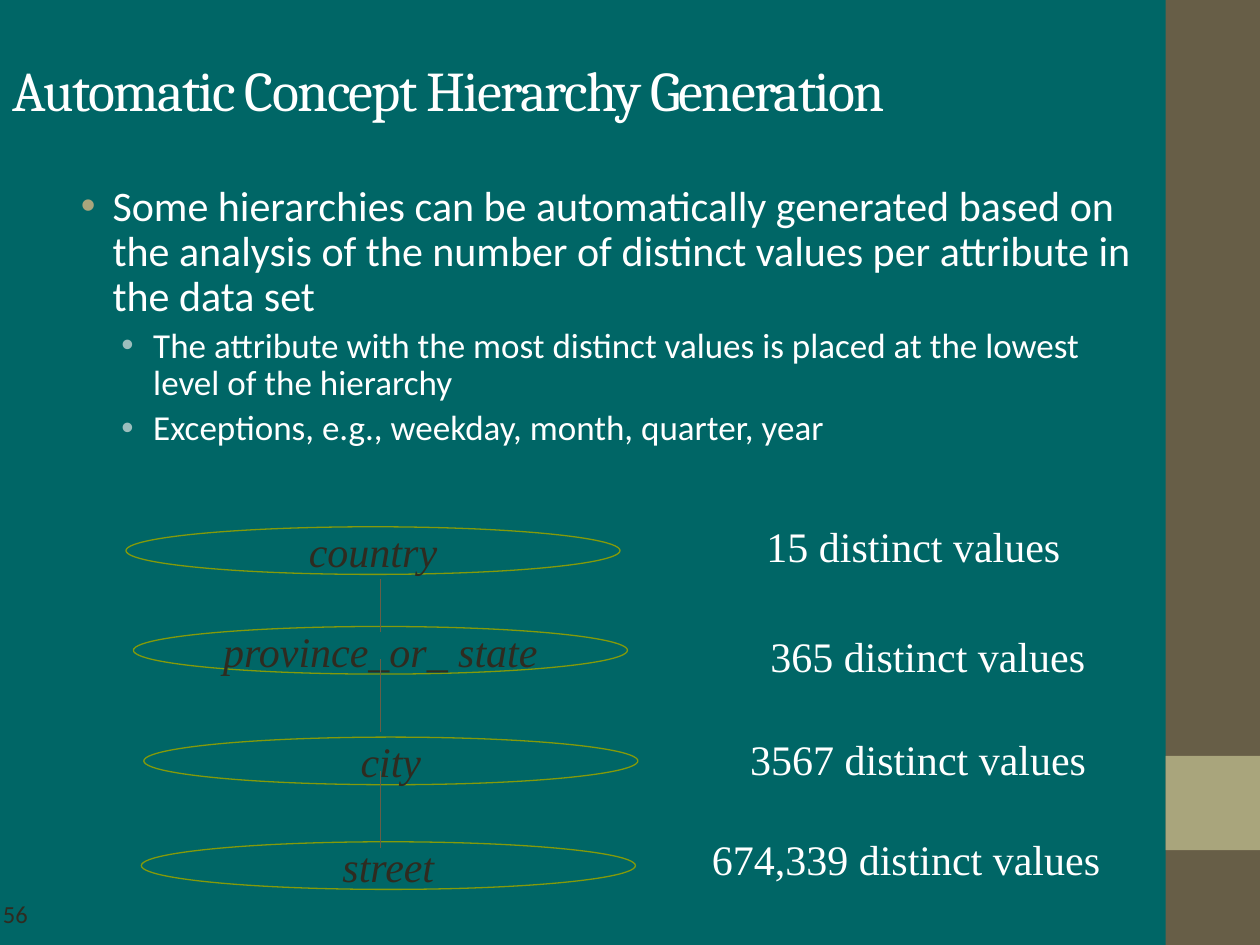
import pptx
import pptx.util
import pptx.dml.color
import pptx.enum.shapes
import pptx.enum.text
from lxml import etree
from pptx.oxml.ns import qn

Cm, Pt = pptx.util.Cm, pptx.util.Pt
Rgb = pptx.dml.color.RGBColor.from_string
Kind = pptx.enum.shapes.MSO_SHAPE
Align = pptx.enum.text.PP_ALIGN
Anchor = pptx.enum.text.MSO_ANCHOR
Fit = pptx.enum.text.MSO_AUTO_SIZE

HUES = {"back": "006666", "side": "675E47", "block": "A9A57C", "white": "FFFFFF",
        "dark": "2F2B20", "ring": "849A0A", "dot": "9CBEBD"}
SERIF = "Times New Roman"


def write(para, text, size=24, font=SERIF, hue="white", italic=False, align=Align.CENTER):
    para.alignment = align
    run = para.add_run()
    run.text = text
    run.font.size = Pt(size)
    run.font.name = font
    run.font.italic = italic
    run.font.color.rgb = Rgb(HUES[hue])
    return run


def bullet(para, left, hue):
    """Give the paragraph a coloured bullet with a hanging indent, in cm."""
    props = para._p.get_or_add_pPr()
    props.set("marL", str(Cm(left)))
    props.set("indent", str(Cm(-0.64)))
    tint = etree.SubElement(props, qn("a:buClr"))
    etree.SubElement(tint, qn("a:srgbClr")).set("val", HUES[hue])
    etree.SubElement(props, qn("a:buFont")).set("typeface", "Arial")
    etree.SubElement(props, qn("a:buChar")).set("char", "•")


deck = pptx.Presentation()
deck.slide_width, deck.slide_height = Cm(25.4), Cm(19.05)
slide = deck.slides.add_slide(deck.slide_layouts[5])
slide.background.fill.solid()
slide.background.fill.fore_color.rgb = Rgb(HUES["back"])
shapes = slide.shapes

# Side band
for top, high, hue in [(0, 19.05, "side"), (15.24, 1.9, "block")]:
    band = shapes.add_shape(Kind.RECTANGLE, Cm(23.5), Cm(top), Cm(1.9), Cm(high))
    band.shadow.inherit = False
    band.fill.solid()
    band.fill.fore_color.rgb = Rgb(HUES[hue])
    band.line.fill.background()

# Title
title = shapes.title
title.left, title.top, title.width, title.height = Cm(0), Cm(0.84), Cm(25.4), Cm(1.9)
frame = title.text_frame
frame.auto_size = Fit.NONE
frame.vertical_anchor = Anchor.MIDDLE
run = write(frame.paragraphs[0], "Automatic Concept Hierarchy Generation",
            size=32, font="Cambria", align=Align.LEFT)
run.font._element.set("spc", "-100")

# Bullets
points = [
    (0, "Some hierarchies can be automatically generated based on the analysis of "
        "the number of distinct values per attribute in the data set"),
    (1, "The attribute with the most distinct values is placed at the lowest level "
        "of the hierarchy"),
    (1, "Exceptions, e.g., weekday, month, quarter, year"),
]
frame = shapes.add_textbox(Cm(1.06), Cm(3.6), Cm(22.44), Cm(6.35)).text_frame
frame.word_wrap = True
for num, (level, text) in enumerate(points):
    para = frame.add_paragraph() if num else frame.paragraphs[0]
    size = (24, 20)[level]
    para.level = level
    para.line_spacing = 0.9
    para.space_before = Pt(0.2 * size)
    bullet(para, (0.96, 1.78)[level], ("block", "dot")[level])
    write(para, text, size=size, font="Calibri", align=Align.LEFT)

# Hierarchy levels: name, left and top of the ring
levels = [
    ("country", 2.54, 10.62),
    ("province_or_ state", 2.69, 12.63),
    ("city", 2.9, 14.86),
    ("street", 2.85, 16.97),
]
for name, left, top in levels:
    ring = shapes.add_shape(Kind.OVAL, Cm(left), Cm(top), Cm(9.96), Cm(0.96))
    ring.shadow.inherit = False
    ring.fill.background()
    ring.line.color.rgb = Rgb(HUES["ring"])
    ring.line.width = Pt(0.75)
    frame = ring.text_frame
    frame.word_wrap = False
    frame.vertical_anchor = Anchor.MIDDLE
    write(frame.paragraphs[0], name, hue="dark", italic=True)

# Links between levels
for top, end in [(11.68, 12.75), (13.28, 14.76), (15.54, 17.09)]:
    link = shapes.add_connector(pptx.enum.shapes.MSO_CONNECTOR.STRAIGHT,
                                Cm(7.67), Cm(top), Cm(7.67), Cm(end))
    link.line.color.rgb = Rgb(HUES["side"])
    link.line.width = Pt(0.75)
    etree.SubElement(link._element.spPr, qn("a:effectLst"))

# Value counts: text, left, top, width
counts = [
    ("15", 15.1, 10.36, 6.63),
    ("365", 15.14, 12.58, 7.13),
    ("3567", 14.78, 14.66, 7.46),
    ("674,339", 14, 16.67, 8.53),
]
for count, left, top, wide in counts:
    frame = shapes.add_textbox(Cm(left), Cm(top), Cm(wide), Cm(1.27)).text_frame
    frame.word_wrap = False
    frame.auto_size = Fit.SHAPE_TO_FIT_TEXT
    write(frame.paragraphs[0], f"{count} distinct values")

# Slide number
frame = shapes.add_textbox(Cm(0), Cm(17.78), Cm(5.28), Cm(1.27)).text_frame
frame.margin_left = Cm(0.06)
frame.word_wrap = True
frame.vertical_anchor = Anchor.MIDDLE
write(frame.paragraphs[0], "56", size=14, font="Calibri", hue="dark", align=Align.LEFT)

deck.save("out.pptx")
